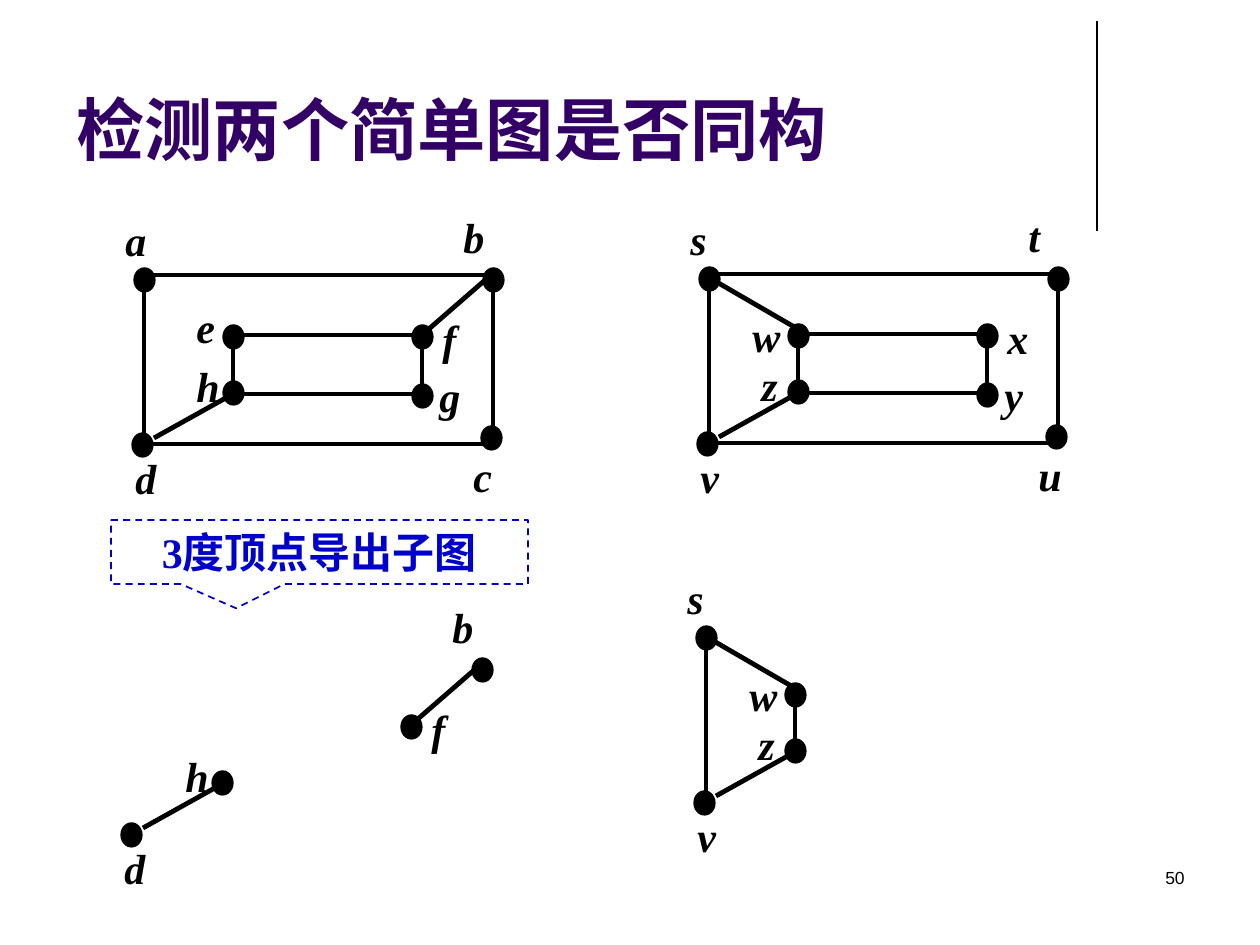
from dataclasses import dataclass

from lxml import etree
from pptx import Presentation, util as u
from pptx.dml.color import RGBColor
from pptx.enum import dml, shapes, text
from pptx.oxml.ns import qn

SCALE = 914400 // 126  # EMU in one px


@dataclass(frozen=True)
class Theme:
    ink: str = "000000"
    head: str = "330066"
    note: str = "0000CC"
    sans: str = "Arial"
    serif: str = "Times New Roman"
    big: int = 39
    mid: int = 24
    small: int = 10
    edge: float = 2.75
    thin: float = 0.75


def px(*nums):
    return [u.Emu(n * SCALE) for n in nums]


class Pen:
    def __init__(self, slide, theme):
        self.slide, self.theme = slide, theme
        self.home = slide.shapes

    def group(self):
        """Send the next elements to a new group."""
        self.home = self.slide.shapes.add_group_shape().shapes

    def page(self):
        """Send the next elements straight to the slide."""
        self.home = self.slide.shapes

    def letter(self, shape, words, size, font, color, align=None,
               bold=True, slant=False):
        frame = shape.text_frame
        frame.text = words
        frame.word_wrap = True
        para = frame.paragraphs[0]
        para.alignment = align or text.PP_ALIGN.LEFT
        face = para.runs[0].font
        face.size, face.name = u.Pt(size), font
        face.bold, face.italic = bold, slant
        face.color.rgb = RGBColor.from_string(color)
        return frame

    def label(self, words, box, size, font, color, **style):
        shape = self.home.add_textbox(*px(*box))
        return self.letter(shape, words, size, font, color, **style)

    def line(self, ends, width):
        line = self.home.add_connector(
            shapes.MSO_CONNECTOR.STRAIGHT, *px(*ends))
        line.line.width = u.Pt(width)
        line.line.color.rgb = RGBColor.from_string(self.theme.ink)
        etree.SubElement(line._element.spPr, qn("a:effectLst"))

    def dot(self, left, top):
        dot = self.home.add_shape(
            shapes.MSO_SHAPE.OVAL, *px(left, top, 21, 24))
        dot.shadow.inherit = False
        ink = RGBColor.from_string(self.theme.ink)
        dot.fill.solid()
        dot.fill.fore_color.rgb = ink
        dot.line.color.rgb = ink
        dot.line.width = u.Pt(self.theme.thin)

    def callout(self, words, box, tip):
        t = self.theme
        shape = self.home.add_shape(
            shapes.MSO_SHAPE.RECTANGULAR_CALLOUT, *px(*box))
        shape.shadow.inherit = False
        for i, value in enumerate(tip):
            shape.adjustments[i] = value
        shape.fill.background()
        shape.line.color.rgb = RGBColor.from_string(t.note)
        shape.line.width = u.Pt(1)
        shape.line.dash_style = dml.MSO_LINE.DASH
        frame = self.letter(shape, words, t.mid, t.serif, t.note,
                            align=text.PP_ALIGN.CENTER)
        frame.vertical_anchor = text.MSO_ANCHOR.TOP

    def graph(self, names, edges, shift, spots):
        """Draw the named vertices, keyed by role, and the edges among them."""
        t, (dx, dy) = self.theme, shift
        self.group()
        for pair in edges:
            if set(pair) <= set(names):
                x1, y1, x2, y2 = EDGES[pair]
                self.line((x1 + dx, y1 + dy, x2 + dx, y2 + dy), t.edge)
        for role in names:
            x, y = DOTS[role]
            self.dot(x + dx, y + dy)
        for role, name in names.items():
            x, y = spots[role]
            self.label(name, (x + dx, y + dy, 49, 63), t.mid, t.serif,
                       t.ink, slant=True)
        self.page()


# Shared layout of both graphs: dot corners, label corners, edge ends
DOTS = {"a": (134, 268), "b": (483, 268), "c": (481, 426), "d": (132, 433),
        "e": (223, 325), "f": (412, 325), "g": (412, 384), "h": (223, 381)}
SPOTS = {"a": (113, 208), "b": (451, 205), "c": (461, 444), "d": (123, 446),
         "e": (184, 295), "f": (430, 307), "g": (427, 364), "h": (184, 354)}
EDGES = {"ab": (144, 275, 501, 275), "bc": (493, 287, 493, 436),
         "cd": (491, 444, 134, 444), "ad": (144, 287, 144, 436),
         "ef": (412, 335, 233, 335), "fg": (422, 335, 422, 394),
         "gh": (412, 394, 233, 394), "eh": (233, 335, 233, 394),
         "bf": (422, 335, 491, 275), "ae": (231, 329, 143, 278),
         "dh": (233, 394, 154, 438)}


def main():
    deck = Presentation()
    deck.slide_width, deck.slide_height = u.Inches(10), u.Inches(7.5)
    t = Theme()
    pen = Pen(deck.slides.add_slide(deck.slide_layouts[6]), t)

    # Rule and title
    pen.line((1097, 21, 1097, 231), t.thin)
    title = pen.label("检测两个简单图是否同构", (64, 45, 1040, 130),
                      t.big, t.sans, t.head)
    title.vertical_anchor = text.MSO_ANCHOR.BOTTOM

    # The two graphs
    left = {role: role for role in "abcdefgh"}
    right = dict(zip("abcdefgh", "stuvwxyz"))
    ledge = [pair for pair in EDGES if pair != "ae"]
    redge = [pair for pair in EDGES if pair != "bf"]
    rspots = {**SPOTS, "e": (175, 305)}
    pen.graph(left, ledge, (0, 0), SPOTS)
    pen.graph(right, redge, (565, -1), rspots)

    # Subgraphs on the vertices of degree 3
    pen.callout("3度顶点导出子图", (111, 520, 417, 64), (-0.2, 0.88))
    pen.graph({r: left[r] for r in "bdfh"}, ledge, (-11, 390), SPOTS)
    pen.graph({r: right[r] for r in "adeh"}, redge, (562, 358), rspots)

    # Slide number
    pen.label("50", (903, 861, 294, 63), t.small, t.sans, t.ink,
              align=text.PP_ALIGN.RIGHT, bold=False)

    deck.save("out.pptx")


if __name__ == "__main__":
    main()
